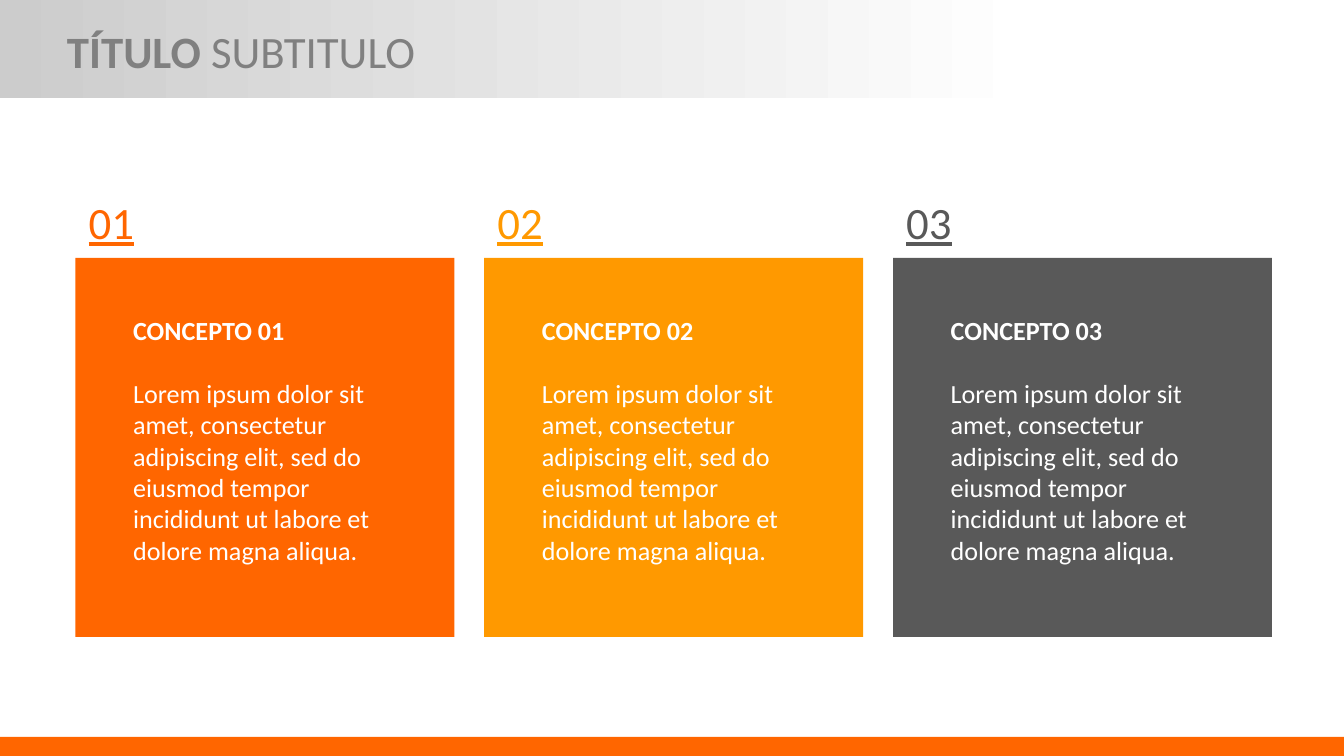
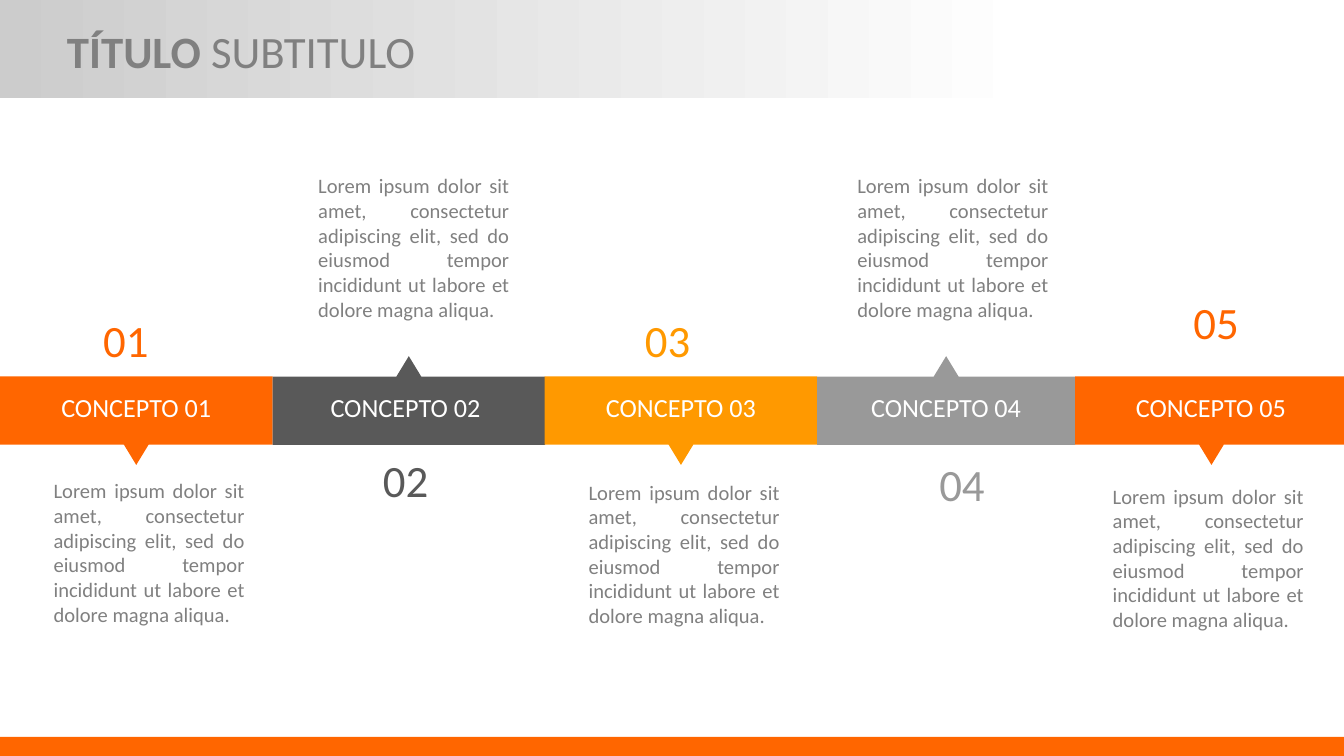
import pptx
import pptx.dml.color
import pptx.enum.shapes
import pptx.enum.text
import pptx.util

Pt = pptx.util.Pt
hex_color = pptx.dml.color.RGBColor.from_string
SHAPE = pptx.enum.shapes.MSO_SHAPE
ALIGN = pptx.enum.text.PP_ALIGN
ANCHOR = pptx.enum.text.MSO_ANCHOR
AUTO_SIZE = pptx.enum.text.MSO_AUTO_SIZE

ORANGE = "FF6600"
AMBER = "FF9900"
DARK = "595959"
SILVER = "999999"
GRAY = "808080"
LIGHT = "CCCCCC"
WHITE = "FFFFFF"

TITLE = {"name": "Calibri", "size": Pt(24), "bold": False}
TITLE_BOLD = {**TITLE, "bold": True}
NUMBER = {"name": "Calibri", "size": Pt(24)}
NUMBER_LINED = {**NUMBER, "underline": True}
LABEL = {"name": "Calibri", "size": Pt(14)}
HEADING = {**LABEL, "bold": True}
SMALL = {"name": "Calibri", "size": Pt(11)}

LOREM = ("Lorem ipsum dolor sit amet, consectetur adipiscing elit, sed do "
         "eiusmod tempor incididunt ut labore et dolore magna aliqua.")


def add_block(slide, kind, frame, color):
    shape = slide.shapes.add_shape(kind, *map(Pt, frame))
    shape.shadow.inherit = False
    shape.fill.solid()
    shape.fill.fore_color.rgb = hex_color(color)
    shape.line.fill.background()
    return shape


def add_text(slide, frame, paragraphs, color, align=ALIGN.LEFT, anchor=ANCHOR.TOP,
             gap=0, auto_size=AUTO_SIZE.SHAPE_TO_FIT_TEXT):
    text_frame = slide.shapes.add_textbox(*map(Pt, frame)).text_frame
    frame_format = {"word_wrap": True, "auto_size": auto_size, "vertical_anchor": anchor}
    for name, value in frame_format.items():
        setattr(text_frame, name, value)
    for index, runs in enumerate(paragraphs):
        paragraph = text_frame.add_paragraph() if index else text_frame.paragraphs[0]
        paragraph.alignment = align
        if index:
            paragraph.space_before = Pt(gap)
        for text, run_format in runs:
            run = paragraph.add_run()
            run.text = text
            for name, value in run_format.items():
                setattr(run.font, name, value)
            run.font.color.rgb = hex_color(color)


presentation = pptx.Presentation()
presentation.slide_width = Pt(720)
presentation.slide_height = Pt(405)

slides = []
for _ in range(2):
    slide = presentation.slides.add_slide(presentation.slide_layouts[6])
    band = add_block(slide, SHAPE.RECTANGLE, (0, 0, 720, 52.5), LIGHT)
    band.fill.gradient()
    band.fill.gradient_angle = 180
    for stop, (position, color) in zip(band.fill.gradient_stops, [(0.23, WHITE), (1, LIGHT)]):
        stop.position = position
        stop.color.rgb = hex_color(color)
    add_block(slide, SHAPE.RECTANGLE, (0, 394.8, 720, 10.2), ORANGE)
    add_text(slide, (28.8, -6.5, 457.2, 67.7),
             [[("TÍTULO", TITLE_BOLD), (" SUBTITULO", TITLE)]],
             GRAY, anchor=ANCHOR.MIDDLE, auto_size=AUTO_SIZE.NONE)
    slides.append(slide)

cards_slide, timeline_slide = slides

for index, color in enumerate([ORANGE, AMBER, DARK]):
    number = f"{index + 1:02}"
    left = 40.4 + index * 219
    add_text(cards_slide, (left, 100.8, 62, 36), [[(number, NUMBER_LINED)]], color)
    add_block(cards_slide, SHAPE.RECTANGLE, (left, 138.2, 203, 203), color)
    add_text(cards_slide, (left + 23.8, 164.9, 164.2, 143.3),
             [[(f"CONCEPTO {number}", HEADING)], [(LOREM, LABEL)]], WHITE, gap=16.8)

steps = [
    (ORANGE, 0, 146, 146, False, (48.2, 164.2), (21.6, 252.7)),
    (DARK, 146, 146, 142.5, True, (198, 239), (163.4, 89.3)),
    (AMBER, 291.8, 146, 146, False, (338.4, 164.2), (308.2, 253.4)),
    (SILVER, 437.7, 138.3, 138.3, True, (496.1, 241.2), (452.2, 89.3)),
    (ORANGE, 576, 146, 145.4, False, (632.2, 154.1), (589, 255.6)),
]
for index, (color, left, width, label_width, points_up, number_at, body_at) in enumerate(steps):
    number = f"{index + 1:02}"
    top = 190.8 if points_up else 201.6
    callout = add_block(timeline_slide, SHAPE.DOWN_ARROW_CALLOUT, (left, top, width, 47.5), color)
    callout.rotation = 180 if points_up else 0
    shaft = 0.28 if index == len(steps) - 1 else 0.13
    for position, value in enumerate([shaft, 0.14, 0.23, 0.77]):
        callout.adjustments[position] = value
    add_text(timeline_slide, (*number_at, 62, 36), [[(number, NUMBER)]], color)
    add_text(timeline_slide, (left, 206, label_width, 24.3), [[(f"CONCEPTO {number}", LABEL)]],
             WHITE, align=ALIGN.CENTER, anchor=ANCHOR.MIDDLE)
    add_text(timeline_slide, (*body_at, 116.6, 87.1), [[(LOREM, SMALL)]],
             GRAY, align=ALIGN.JUSTIFY)

presentation.save("out.pptx")
